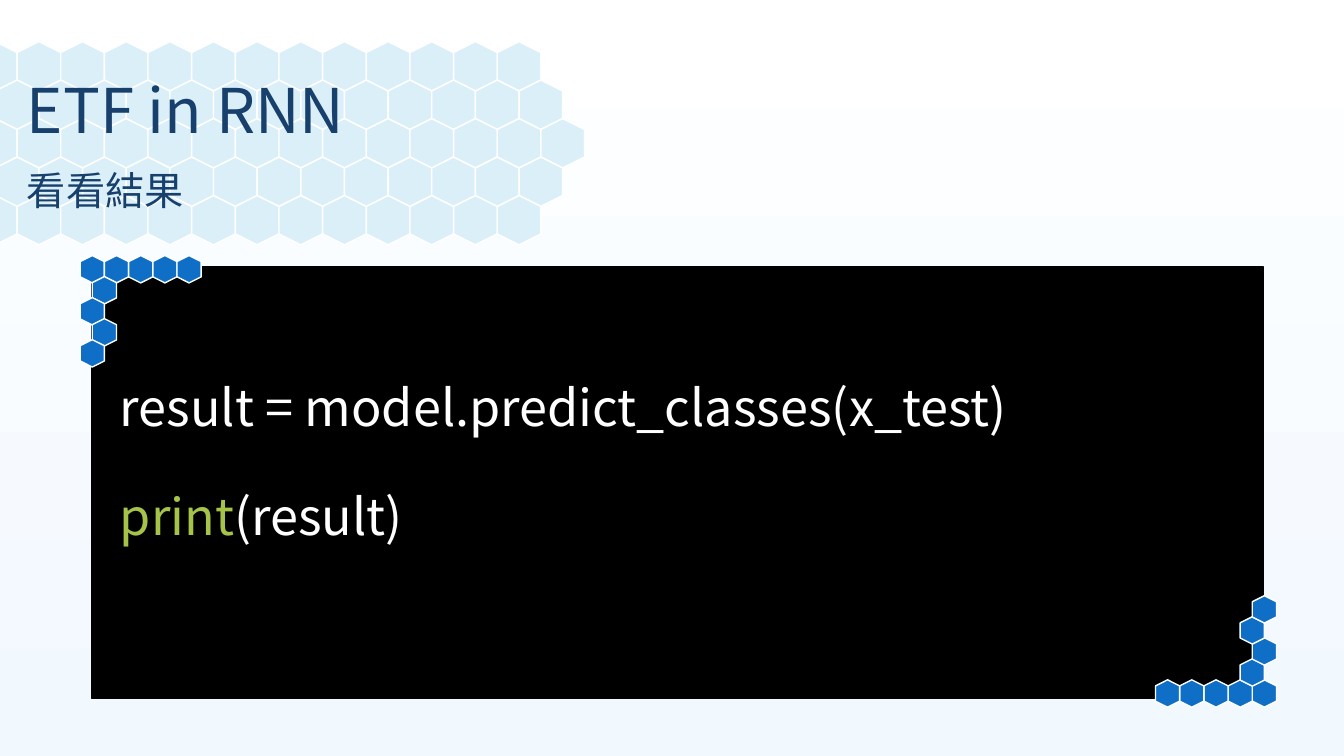
from dataclasses import dataclass

from lxml import etree
from pptx import Presentation
from pptx import util as u
from pptx.dml.color import RGBColor
from pptx.enum import shapes, text
from pptx.oxml import ns


@dataclass(frozen=True)
class Theme:
    font: str = "Noto Sans CJK SC"
    white: str = "FFFFFF"
    sky: str = "F1F8FE"
    pale_cell: str = "DBEFF9"
    blue_cell: str = "0F6FC6"
    panel: str = "000000"
    heading: str = "17406D"
    keyword: str = "A5C249"
    title_size: int = 44
    subtitle_size: int = 28
    code_size: int = 36


theme = Theme()
deck = Presentation()
deck.slide_width, deck.slide_height = u.Cm(33.87), u.Cm(19.05)
page = deck.slides.add_slide(deck.slide_layouts[6])


def add_filled(kind, left, top, width, height, fill, line, rotation=0):
    shape = page.shapes.add_shape(kind, u.Cm(left), u.Cm(top), u.Cm(width), u.Cm(height))
    shape.shadow.inherit = False
    shape.rotation = rotation
    shape.fill.solid()
    shape.fill.fore_color.rgb = RGBColor.from_string(fill)
    shape.line.color.rgb = RGBColor.from_string(line)
    shape.line.width = u.Pt(1)


def add_text(lines, left, top, width, height, size, anchor, spacing=1.0, gap=0):
    """Each line is a list of (words, colour) spans; gap is the points between lines."""
    box = page.shapes.add_textbox(u.Cm(left), u.Cm(top), u.Cm(width), u.Cm(height))
    frame = box.text_frame
    frame.word_wrap = True
    frame.vertical_anchor = anchor
    for index, spans in enumerate(lines):
        para = frame.add_paragraph() if index else frame.paragraphs[0]
        para.line_spacing = spacing
        if index:
            para.space_before = u.Pt(gap)
        for words, colour in spans:
            span = para.add_run()
            span.text = words
            span.font.size = u.Pt(size)
            span.font.name = theme.font
            span.font.color.rgb = RGBColor.from_string(colour)
            east_asian = etree.SubElement(span.font._element, ns.qn("a:ea"))
            east_asian.set("typeface", theme.font)


# Background
backdrop = page.background.fill
backdrop.gradient()
backdrop.gradient_angle = 270
for stop, colour, position in zip(backdrop.gradient_stops, (theme.white, theme.sky), (0, 1)):
    stop.color.rgb = RGBColor.from_string(colour)
    stop.position = position

# Code panel with a honeycomb bracket at two opposite corners
add_filled(shapes.MSO_SHAPE.RECTANGLE, 2.31, 6.73, 29.54, 10.87, theme.panel, theme.panel)

SMALL_PITCH, SMALL_ROW = 0.61, 0.53
bracket = [(column, 0) for column in range(5)]
bracket += [(row % 2 / 2, row) for row in range(1, 5)]
for corner_left, corner_top, direction, rotation in ((1.98, 6.48, 1, 90), (31.52, 17.17, -1, 270)):
    for column, row in bracket:
        add_filled(shapes.MSO_SHAPE.HEXAGON,
                   corner_left + direction * column * SMALL_PITCH,
                   corner_top + direction * row * SMALL_ROW,
                   0.69, 0.61, theme.blue_cell, theme.white, rotation)

# Honeycomb behind the heading: odd rows sit half a cell to the right
BIG_PITCH, BIG_ROW = 1.1, 0.97
for row, cell_count in enumerate((13, 13, 14, 13, 13)):
    for column in range(cell_count):
        add_filled(shapes.MSO_SHAPE.HEXAGON,
                   -0.74 + (column + row % 2 / 2) * BIG_PITCH,
                   1.12 + row * BIG_ROW,
                   1.24, 1.1, theme.pale_cell, theme.white, 90)

# Heading and code
middle, top_edge = text.MSO_ANCHOR.MIDDLE, text.MSO_ANCHOR.TOP
add_text([[("ETF in RNN", theme.heading)]], 0.43, 1.7, 15.34, 2.34,
         theme.title_size, middle, spacing=0.9)
add_text([[("看看結果", theme.heading)]], 0.43, 4.04, 17.63, 1.63,
         theme.subtitle_size, middle, spacing=0.9)
add_text([[("result = model.predict_classes(x_test)", theme.white)],
          [("print", theme.keyword), ("(result)", theme.white)]],
         2.77, 9.35, 27.13, 5.16, theme.code_size, top_edge, gap=35)

deck.save("out.pptx")
